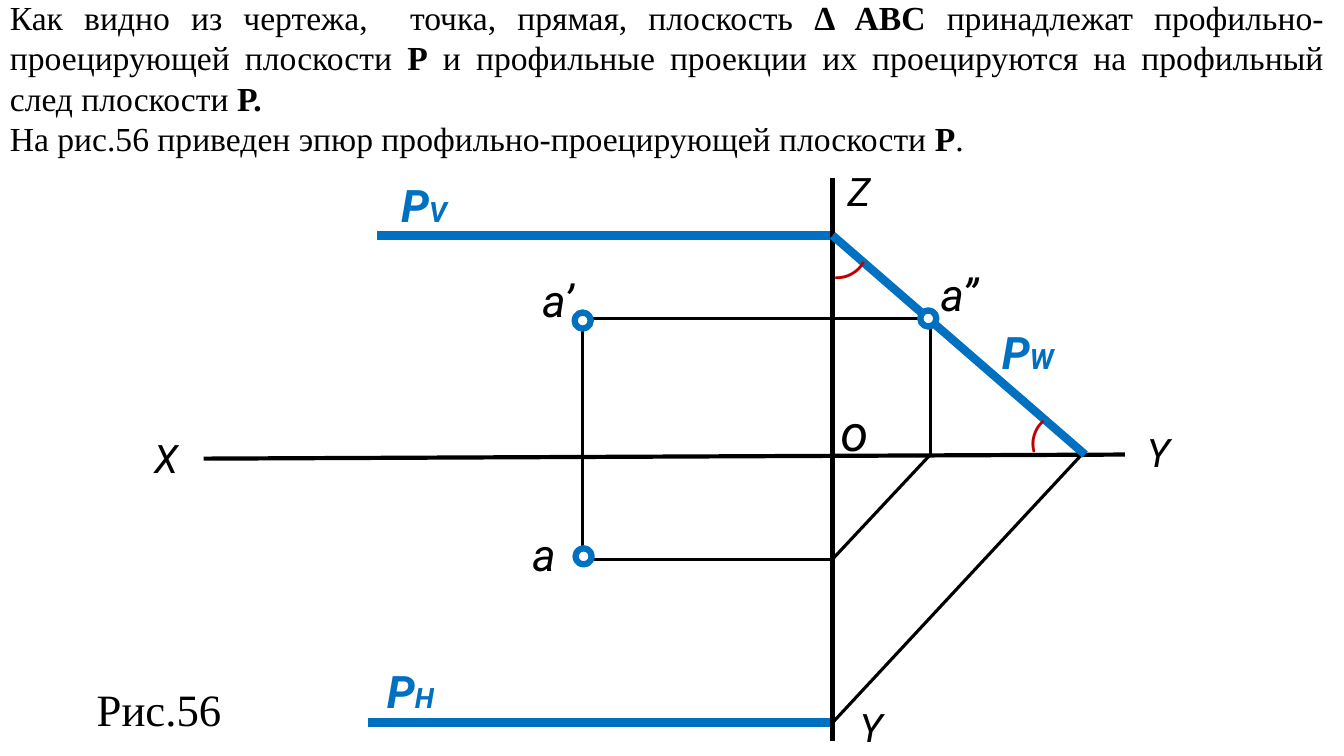
from lxml import etree
from pptx import Presentation
from pptx.dml.color import RGBColor
from pptx.enum.shapes import MSO_CONNECTOR, MSO_SHAPE
from pptx.enum.text import MSO_AUTO_SIZE, PP_ALIGN
from pptx.oxml.ns import qn
from pptx.util import Pt

STRAIGHT = MSO_CONNECTOR.STRAIGHT
OVAL = MSO_SHAPE.OVAL
GROW = MSO_AUTO_SIZE.SHAPE_TO_FIT_TEXT
JUSTIFY = PP_ALIGN.JUSTIFY

THEME = {
    "black": RGBColor(0, 0, 0),
    "white": RGBColor(255, 255, 255),
    "blue": RGBColor(0x00, 0x70, 0xC0),
    "red": RGBColor(0xC0, 0, 0),
    "axis_line": 3,
    "trace_line": 6,
    "thin_line": 2.25,
    "point_line": 4.5,
}

STYLES = {
    "body": dict(font="Times New Roman", size=24, color="black"),
    "strong": dict(font="Times New Roman", size=24, color="black", bold=True),
    "caption": dict(font="Times New Roman", size=32, color="black"),
    "axis": dict(font="Roboto", size=28, color="black", italic=True),
    "point": dict(font="Roboto", size=32, color="black", italic=True),
    "origin": dict(font="Roboto", size=36, color="black", italic=True),
    "trace": dict(font="Roboto", size=32, color="blue", bold=True, italic=True),
    "index": dict(font="Roboto", size=20, color="blue", bold=True, italic=True),
    "angle": dict(font="Calibri", size=28, color="red"),
}

BODY = [
    [
        ("Как видно из чертежа,  точка, прямая, плоскость ", "body"),
        ("Δ ABC", "strong"),
        (" принадлежат профильно-проецирующей плоскости ", "body"),
        ("Р", "strong"),
        (" и профильные проекции их проецируются на профильный след плоскости ", "body"),
        ("Р.", "strong"),
    ],
    [
        ("На рис.56 приведен эпюр профильно-проецирующей плоскости ", "body"),
        ("Р", "strong"),
        (".", "body"),
    ],
]

AXIS_X = 594.7
TOP_TRACE = (AXIS_X, 168.2)
BOTTOM_TRACE = (AXIS_X, 516.2)
SIDE_TRACE = (775, 324.7)
FRONT = (416.2, 229)
PLAN = (416.9, 397.4)
PROFILE = (663.1, 227.5)
PROFILE_FOOT = (664.6, 324.7)
PLAN_FOOT = (AXIS_X, 399.4)

LINES = [
    ("black", "axis_line", (145.4, 327.6), (803.5, 324.7)),
    ("blue", "trace_line", BOTTOM_TRACE, (262.8, BOTTOM_TRACE[1])),
    ("blue", "trace_line", TOP_TRACE, (269.3, TOP_TRACE[1])),
    ("black", "thin_line", PROFILE_FOOT, (PROFILE_FOOT[0], 231.8)),
    ("black", "thin_line", PROFILE, (411.1, PROFILE[1])),
    ("black", "thin_line", BOTTOM_TRACE, (775.4, 321.8)),
    ("black", "thin_line", PLAN_FOOT, PROFILE_FOOT),
    ("black", "axis_line", (AXIS_X, 127.4), (AXIS_X, 529.2)),
    ("blue", "trace_line", SIDE_TRACE, TOP_TRACE),
    ("black", "thin_line", PLAN_FOOT, (FRONT[0], PLAN_FOOT[1])),
    ("black", "thin_line", (FRONT[0], PLAN[1]), FRONT),
]

POINTS = [PROFILE, PLAN, FRONT]
POINT_SIZE = 11.5

LABELS = [
    ([("X", "axis")], 103, 306.7, 31, 41),
    ([("Y", "axis")], 812.2, 302.4, 31, 41),
    ([("Y", "axis")], 607, 499, 31, 41),
    ([("Z", "axis")], 598.3, 115.9, 31, 41),
    ([("o", "origin")], 593.3, 283, 31, 51),
    ([("a’", "point")], 380.2, 191.5, 43.2, 46),
    ([("a", "point")], 373, 373, 59.8, 46),
    ([("a’’", "point")], 664.6, 187.2, 56.9, 46),
    ([("P", "trace"), ("H", "index")], 269.3, 470.2, 64, 46),
    ([("P", "trace"), ("V", "index")], 279.4, 123.1, 50.4, 46),
    ([("P", "trace"), ("W", "index")], 708.5, 228.2, 67, 46),
]

FREE_LABELS = [
    ([("Рис.56", "caption")], 61.9, 483.1, 104.4, 46, 0),
    ([("(", "angle")], 729.4, 288.7, 23, 41, 16.7),
    ([("(", "angle")], 594, 175.7, 23, 41, 240.9),
]


def add_line(slide, color, width, start, end):
    line = slide.shapes.add_connector(STRAIGHT, *map(Pt, start + end))
    line.line.color.rgb = THEME[color]
    line.line.width = Pt(THEME[width])
    etree.SubElement(line._element.spPr, qn("a:effectLst"))


def add_point(slide, center):
    left, top = (value - POINT_SIZE / 2 for value in center)
    point = slide.shapes.add_shape(
        OVAL, Pt(left), Pt(top), Pt(POINT_SIZE), Pt(POINT_SIZE))
    point.shadow.inherit = False
    point.fill.solid()
    point.fill.fore_color.rgb = THEME["white"]
    point.line.color.rgb = THEME["blue"]
    point.line.width = Pt(THEME["point_line"])


def add_text(slide, paragraphs, left, top, width, height,
             rotation=0, wrap=True, alignment=None):
    box = slide.shapes.add_textbox(Pt(left), Pt(top), Pt(width), Pt(height))
    box.rotation = rotation
    frame = box.text_frame
    frame.word_wrap = wrap
    frame.auto_size = GROW
    for number, runs in enumerate(paragraphs):
        paragraph = frame.add_paragraph() if number else frame.paragraphs[0]
        paragraph.alignment = alignment
        for text, style_name in runs:
            style = STYLES[style_name]
            run = paragraph.add_run()
            run.text = text
            run.font.name = style["font"]
            run.font.size = Pt(style["size"])
            run.font.color.rgb = THEME[style["color"]]
            run.font.bold = style.get("bold", False)
            run.font.italic = style.get("italic", False)


def main():
    presentation = Presentation()
    presentation.slide_width = Pt(960)
    presentation.slide_height = Pt(540)
    slide = presentation.slides.add_slide(presentation.slide_layouts[6])
    for line in LINES:
        add_line(slide, *line)
    for center in POINTS:
        add_point(slide, center)
    for runs, *place in LABELS:
        add_text(slide, [runs], *place)
    for runs, *place in FREE_LABELS:
        add_text(slide, [runs], *place, wrap=False)
    add_text(slide, BODY, 0, -5.8, 952.6, 123.8, alignment=JUSTIFY)
    presentation.save("out.pptx")


if __name__ == "__main__":
    main()
